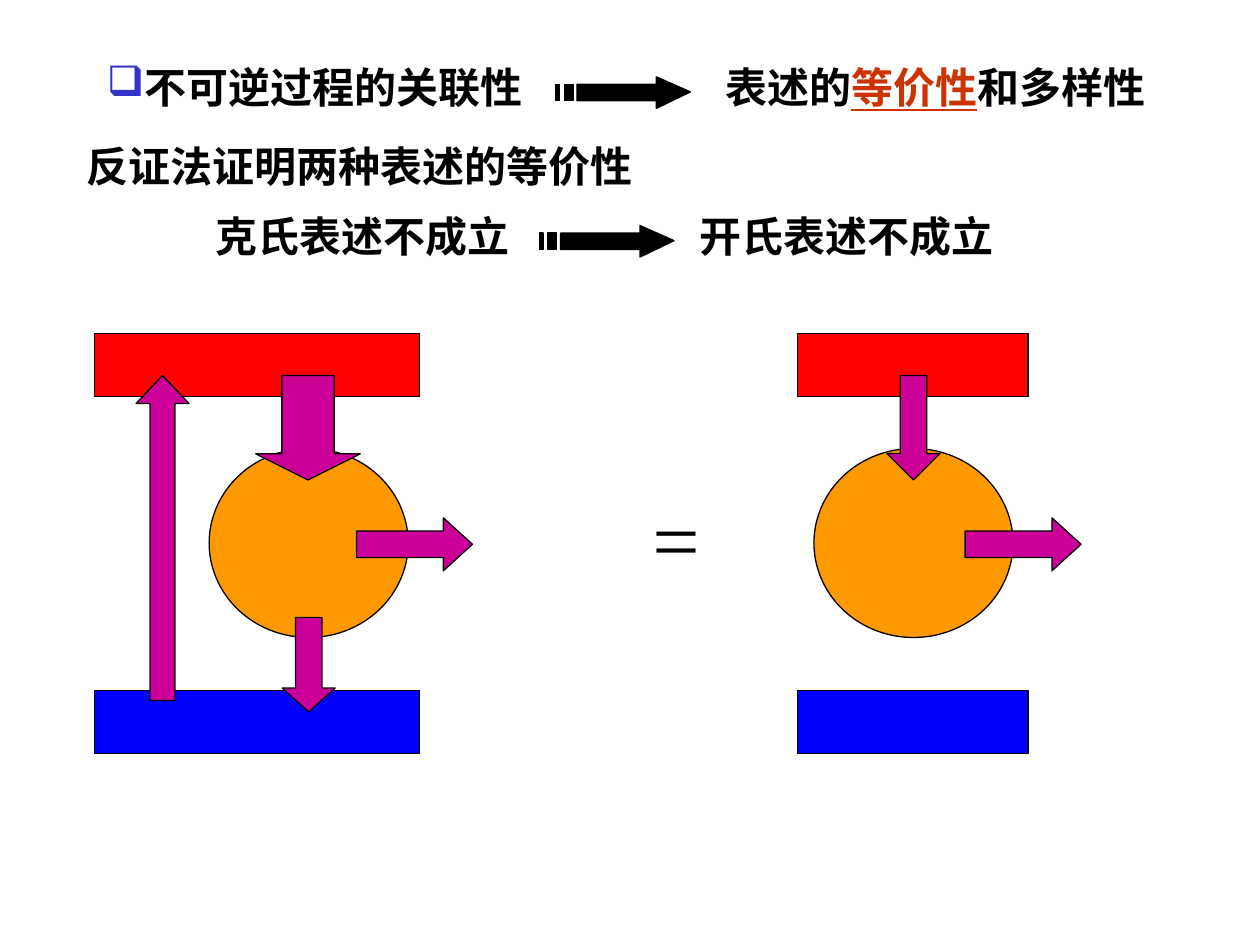
import pptx
import pptx.dml.color
import pptx.enum.shapes
import pptx.enum.text
import pptx.util
from lxml import etree

Inches = pptx.util.Inches
Shape = pptx.enum.shapes.MSO_SHAPE
BLACK, RED, BLUE = "000000", "FF0000", "0000FF"
ORANGE, PURPLE = "FF9900", "CC0099"
ACCENT, BULLET_COLOR = "CC3300", "3333CC"


def color(hex_string):
    return pptx.dml.color.RGBColor.from_string(hex_string)


class Slide:
    font_name = "Times New Roman"
    line_width = pptx.util.Pt(0.75)

    def __init__(self, page):
        self.page = page

    def paint(self, shape, fill):
        shape.shadow.inherit = False
        shape.fill.solid()
        shape.fill.fore_color.rgb = color(fill)
        shape.line.color.rgb = color(BLACK)
        shape.line.width = self.line_width

    def shape(self, kind, left, top, width, height, fill, adjustments=()):
        shape = self.page.shapes.add_shape(
            kind, Inches(left), Inches(top), Inches(width), Inches(height))
        for index, value in enumerate(adjustments):
            shape.adjustments[index] = value
        self.paint(shape, fill)

    def arrow(self, kind, left, top, width, height, head, shaft=0.5):
        self.shape(kind, left, top, width, height, PURPLE, (shaft, head))

    def striped_arrow(self, left, top):
        upper, lower = 0.06, 0.19
        outlines = [
            [(0.8, 0), (0.8, upper), (0.17, upper), (0.17, lower),
             (0.8, lower), (0.8, 0.25), (1.07, 0.12)]]
        for start, end in ((0.07, 0.14), (0, 0.03)):
            outlines.append(
                [(start, upper), (start, lower), (end, lower), (end, upper)])
        builder = None
        for outline in outlines:
            points = [(Inches(left + x), Inches(top + y)) for x, y in outline]
            if builder is None:
                builder = self.page.shapes.build_freeform(*points[0])
            else:
                builder.move_to(*points[0])
            builder.add_line_segments(points[1:], close=True)
        self.paint(builder.convert_to_shape(), BLACK)

    def text(self, left, top, width, height, spans, size=24, bold=True,
             wrap=False, bullet=None):
        box = self.page.shapes.add_textbox(
            Inches(left), Inches(top), Inches(width), Inches(height))
        frame = box.text_frame
        frame.word_wrap = wrap
        frame.auto_size = pptx.enum.text.MSO_AUTO_SIZE.SHAPE_TO_FIT_TEXT
        para = frame.paragraphs[0]
        if bullet:
            self.bullet(para, bullet)
        for words, hex_string, underline in spans:
            span = para.add_run()
            span.text = words
            span.font.name = self.font_name
            span.font.size = pptx.util.Pt(size)
            span.font.bold = bold
            span.font.color.rgb = color(hex_string)
            if underline:
                span.font.underline = True

    def bullet(self, para, character):
        tag = pptx.oxml.ns.qn
        properties = para._p.get_or_add_pPr()
        tint = etree.SubElement(properties, tag("a:buClr"))
        etree.SubElement(tint, tag("a:srgbClr"), val=BULLET_COLOR)
        etree.SubElement(properties, tag("a:buChar"), char=character)

    def engine(self, left, width, circle_left, work_left):
        self.shape(Shape.RECTANGLE, left, 2.65, width, 0.5, RED)
        self.shape(Shape.RECTANGLE, left, 5.48, width, 0.5, BLUE)
        self.shape(Shape.OVAL, circle_left, 3.56, 1.58, 1.5, ORANGE)
        self.arrow(Shape.RIGHT_ARROW, work_left, 4.11, 0.92, 0.42, 0.55)


def main():
    deck = pptx.Presentation()
    deck.slide_width, deck.slide_height = Inches(10), Inches(7.5)
    slide = Slide(deck.slides.add_slide(deck.slide_layouts[6]))

    slide.engine(0.75, 2.58, 1.66, 2.83)
    slide.arrow(Shape.DOWN_ARROW, 2.03, 2.98, 0.83, 0.83, 0.25)
    slide.arrow(Shape.DOWN_ARROW, 2.24, 4.9, 0.42, 0.75, 0.45)
    slide.arrow(Shape.UP_ARROW, 1.08, 2.98, 0.42, 2.58, 0.53, 0.47)
    slide.text(5.08, 3.81, 0.58, 0.9, [("=", BLACK, False)],
               size=48, bold=False, wrap=True)
    slide.engine(6.33, 1.83, 6.46, 7.66)
    slide.arrow(Shape.DOWN_ARROW, 7.04, 2.98, 0.42, 0.83, 0.5)

    slide.text(1.61, 1.62, 2.55, 0.5, [("克氏表述不成立", BLACK, False)])
    slide.text(5.45, 1.62, 2.55, 0.5, [("开氏表述不成立", BLACK, False)])
    slide.striped_arrow(4.28, 1.79)
    slide.text(0.59, 1.07, 4.56, 0.5,
               [("反证法证明两种表述的等价性", BLACK, False)])
    slide.text(0.75, 0.44, 3.51, 0.5,
               [("不可逆过程的关联性", BLACK, False)], bullet="❑")
    slide.striped_arrow(4.41, 0.61)
    slide.text(5.66, 0.44, 3.83, 0.5,
               [("表述的", BLACK, False), ("等价性", ACCENT, True),
                ("和多样性", BLACK, False)], wrap=True)

    deck.save("out.pptx")


if __name__ == "__main__":
    main()
